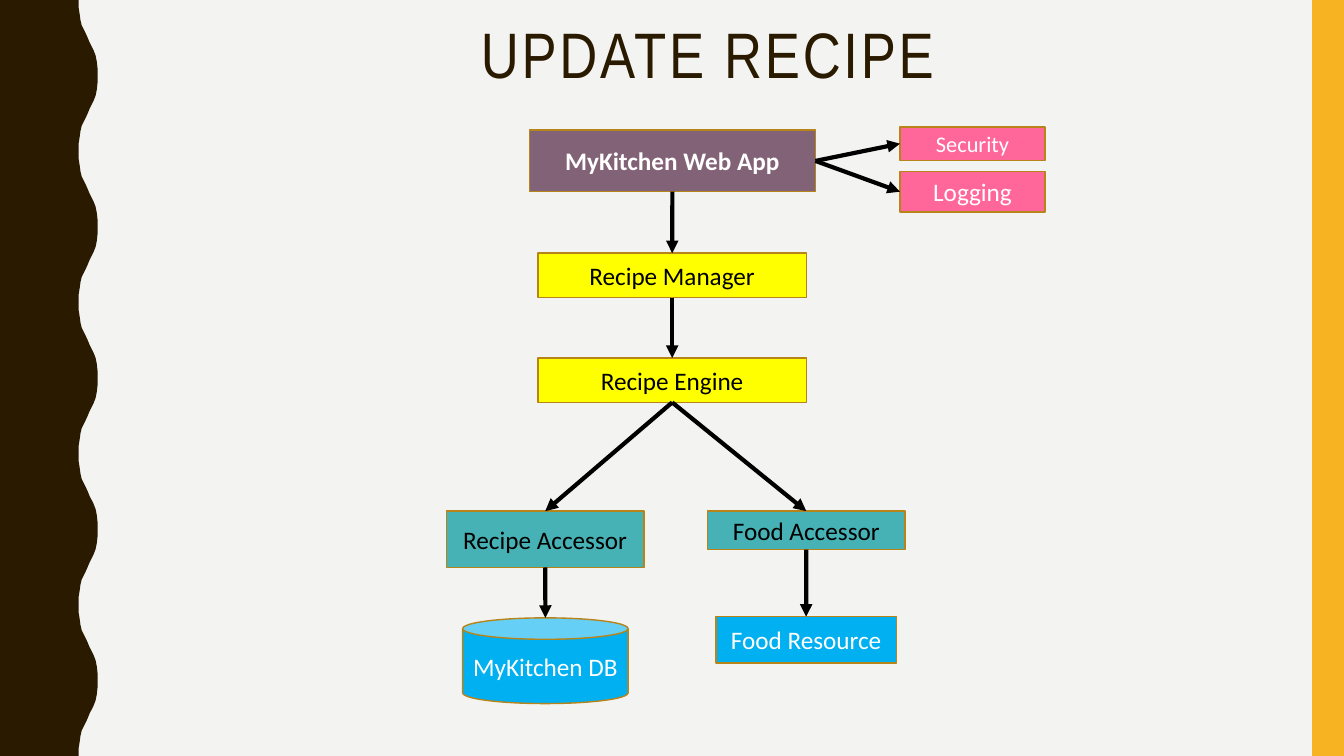
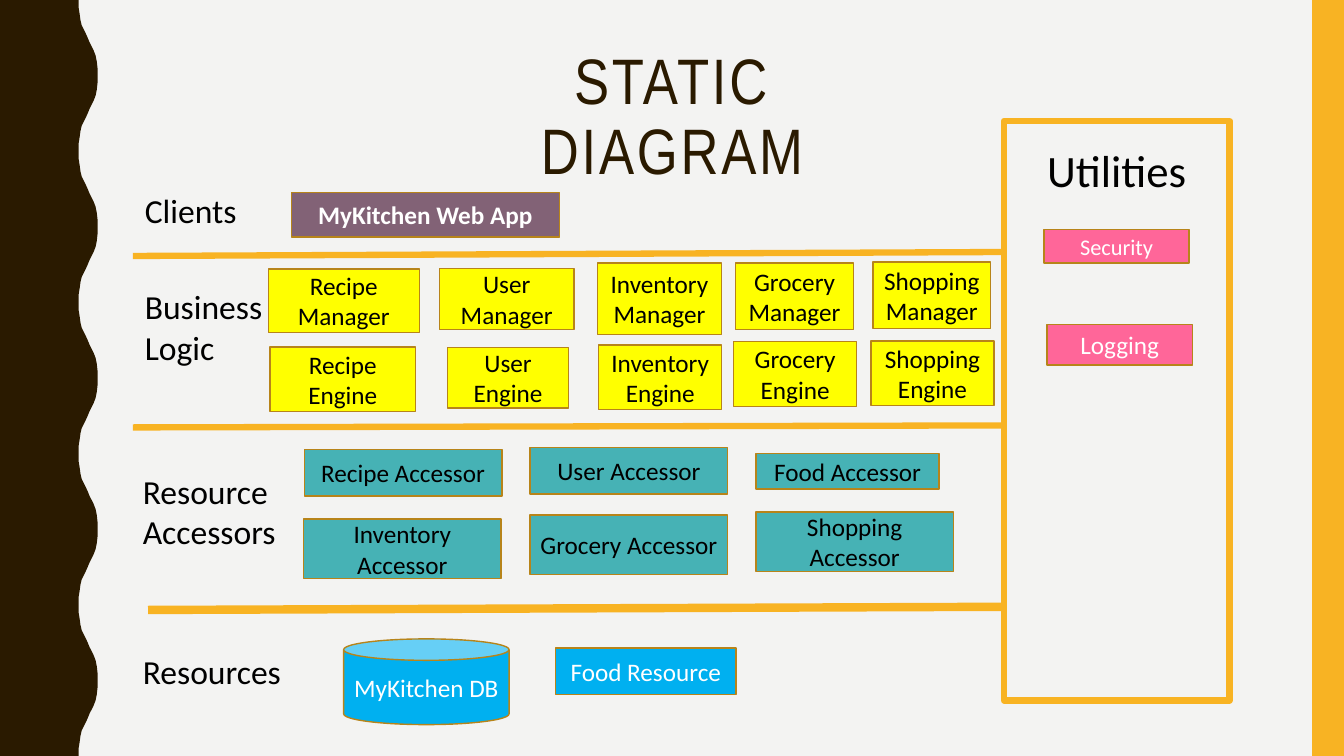
from lxml.etree import SubElement
from pptx import Presentation
from pptx.dml.color import RGBColor as RGB
from pptx.enum.shapes import MSO_CONNECTOR as Conn, MSO_SHAPE as Form
from pptx.enum.text import MSO_ANCHOR as Anchor, PP_ALIGN as Align
from pptx.oxml.ns import qn
from pptx.util import Cm, Pt

# Colours
PAPER = RGB(0xF3, 0xF3, 0xF2)
BROWN = RGB(0x2A, 0x1A, 0x00)
GOLD = RGB(0xF8, 0xB3, 0x23)
EDGE = RGB(0xB7, 0x84, 0x1A)
PLUM = RGB(0x82, 0x62, 0x76)
YELLOW = RGB(0xFF, 0xFF, 0x00)
TEAL = RGB(0x46, 0xB2, 0xB5)
BLUE = RGB(0x00, 0xB0, 0xF0)
PINK = RGB(0xFF, 0x66, 0x99)
BLACK = RGB(0x00, 0x00, 0x00)
WHITE = RGB(0xFF, 0xFF, 0xFF)

# All lengths are in centimetres
WIDTH, HEIGHT = 33.87, 19.05
BAND = 0.8
WAVE = 3.81
HALF = [(1.98, 0), (1.98, 0.18), (2.01, 0.36), (2.03, 0.51), (2.06, 0.64),
        (2.11, 0.74), (2.16, 0.84), (2.21, 0.95), (2.26, 1.07), (2.31, 1.17),
        (2.36, 1.27), (2.41, 1.4), (2.44, 1.55), (2.46, 1.73), (2.46, 1.9)]

# Layer: fill, text colour, bold
LAYERS = {
    "client": (PLUM, WHITE, True),
    "logic": (YELLOW, BLACK, False),
    "access": (TEAL, BLACK, False),
    "store": (BLUE, WHITE, False),
    "tool": (PINK, WHITE, False),
}
SMALL = {"Security": 16}
CANS = {"MyKitchen DB"}

# Slide 1: boxes by layer, each with left, top, width, height
FLOW = {
    "client": [("MyKitchen Web App", 13.34, 3.28, 7.21, 1.55)],
    "logic": [("Recipe Manager", 13.56, 6.38, 6.76, 1.12),
              ("Recipe Engine", 13.56, 9.02, 6.76, 1.12)],
    "access": [("Recipe Accessor", 11.25, 12.88, 4.98, 1.42),
               ("Food Accessor", 17.83, 12.88, 4.98, 0.97)],
    "store": [("MyKitchen DB", 11.66, 15.57, 4.17, 2.16),
              ("Food Resource", 18.04, 15.54, 4.55, 1.17)],
    "tool": [("Security", 22.68, 3.2, 3.66, 0.84),
             ("Logging", 22.68, 4.32, 3.66, 1.02)],
}
DOWN, ACROSS = (2, 0), (3, 1)
ARROWS = [
    ("MyKitchen Web App", "Security", ACROSS),
    ("MyKitchen Web App", "Logging", ACROSS),
    ("MyKitchen Web App", "Recipe Manager", DOWN),
    ("Recipe Manager", "Recipe Engine", DOWN),
    ("Recipe Engine", "Recipe Accessor", DOWN),
    ("Recipe Engine", "Food Accessor", DOWN),
    ("Recipe Accessor", "MyKitchen DB", DOWN),
    ("Food Accessor", "Food Resource", DOWN),
]

# Slide 2
STATIC = {
    "client": [("MyKitchen Web App", 7.34, 4.85, 6.76, 1.12)],
    "logic": [("Recipe Manager", 6.76, 6.78, 3.81, 1.6),
              ("User Manager", 11.07, 6.76, 3.4, 1.55),
              ("Inventory Manager", 15.06, 6.63, 3.12, 1.8),
              ("Grocery Manager", 18.54, 6.63, 2.97, 1.68),
              ("Shopping Manager", 22, 6.6, 2.97, 1.68),
              ("Recipe Engine", 6.81, 8.74, 3.66, 1.63),
              ("User Engine", 11.28, 8.76, 3.05, 1.52),
              ("Inventory Engine", 15.09, 8.69, 3.1, 1.63),
              ("Grocery Engine", 18.49, 8.61, 3.1, 1.63),
              ("Shopping Engine", 21.95, 8.59, 3.1, 1.63)],
    "access": [("Recipe Accessor", 7.67, 11.33, 4.98, 1.17),
               ("User Accessor", 13.36, 11.28, 4.98, 1.17),
               ("Food Accessor", 19.05, 11.43, 4.62, 0.89),
               ("Inventory Accessor", 7.65, 13.08, 4.98, 1.5),
               ("Grocery Accessor", 13.36, 12.98, 4.98, 1.5),
               ("Shopping Accessor", 19.05, 12.9, 4.98, 1.5)],
    "store": [("MyKitchen DB", 8.66, 16.1, 4.17, 2.16),
              ("Food Resource", 14, 16.33, 4.55, 1.17)],
    "tool": [("Security", 26.31, 5.79, 3.66, 0.84),
             ("Logging", 26.39, 8.18, 3.66, 1.02)],
}
LABELS = [
    ("Clients", 3.4, 4.67, 3.1, 1.27),
    ("Business Logic", 3.4, 7.09, 4.24, 2.31),
    ("Resource Accessors", 3.35, 11.73, 5.92, 2.31),
    ("Resources", 3.35, 16.28, 5.92, 1.27),
]
FRAME = (25.3, 3.05, 5.69, 14.6)
RULES = [(3.35, 6.45, 6.35, 4.5), (3.35, 10.77, 10.72, 4.5),
         (3.73, 15.37, 15.29, 6)]  # left, start y, end y, weight


def cms(*nums):
    return [Cm(n) for n in nums]


def write(shape, text, size, ink, align=Align.LEFT, font="Calibri", bold=False):
    frame = shape.text_frame
    frame.word_wrap = True
    para = frame.paragraphs[0]
    para.alignment = align
    run = para.add_run()
    run.text = text
    face = run.font
    face.name, face.size, face.bold = font, Pt(size), bold
    face.color.rgb = ink
    return run


def paint(shape, fill=None, edge=None, weight=1):
    shape.shadow.inherit = False
    if fill is None:
        shape.fill.background()
    else:
        shape.fill.solid()
        shape.fill.fore_color.rgb = fill
    if edge is None:
        shape.line.fill.background()
    else:
        shape.line.color.rgb = edge
        shape.line.width = Pt(weight)


def label(slide, text, place, size, align=Align.LEFT):
    write(slide.shapes.add_textbox(*cms(*place)), text, size, BLACK, align)


def link(slide, ends, color, weight):
    line = slide.shapes.add_connector(Conn.STRAIGHT, *ends)
    line.line.color.rgb = color
    line.line.width = Pt(weight)
    SubElement(line._element.spPr, qn("a:effectLst"))
    return line


def start(prs, title, place):
    """Add a slide with the wavy edge, the gold band and a title."""
    slide = prs.slides.add_slide(prs.slide_layouts[6])
    pts = []
    for top in (n * WAVE for n in range(5)):
        pts += [(x, top + y) for x, y in HALF]
        pts += [(x, top + WAVE - y) for x, y in reversed(HALF[:-1])]
    pen = slide.shapes.build_freeform(0, 0)
    pen.add_line_segments([cms(*pt) for pt in pts + [(0, HEIGHT)]], close=True)
    paint(pen.convert_to_shape(), BROWN)
    band = slide.shapes.add_shape(
        Form.RECTANGLE, *cms(WIDTH - BAND, 0, BAND, HEIGHT))
    paint(band, GOLD)

    head = slide.shapes.add_textbox(*cms(*place))
    run = write(head, title, 45.9, BROWN, Align.CENTER, "Arial Narrow")
    run.font._element.set("spc", "200")
    frame = head.text_frame
    frame.paragraphs[0].line_spacing = 0.9
    frame.margin_left = frame.margin_right = Cm(0.4)
    return slide


def fill_in(slide, layers):
    """Draw the boxes of each layer and return them by name."""
    made = {}
    for layer, boxes in layers.items():
        fill, ink, bold = LAYERS[layer]
        for name, *place in boxes:
            form = Form.CAN if name in CANS else Form.RECTANGLE
            box = slide.shapes.add_shape(form, *cms(*place))
            paint(box, fill, EDGE)
            box.text_frame.vertical_anchor = Anchor.MIDDLE
            write(box, name, SMALL.get(name, 18), ink, Align.CENTER, bold=bold)
            made[name] = box
    return made


def side(box, site):
    """Middle of a side: 0 top, 1 left, 2 bottom, 3 right."""
    across, down = [(0.5, 0), (0, 0.5), (0.5, 1), (1, 0.5)][site]
    return int(box.left + box.width * across), int(box.top + box.height * down)


def main():
    prs = Presentation()
    prs.slide_width, prs.slide_height = cms(WIDTH, HEIGHT)
    back = prs.slide_master.background.fill
    back.solid()
    back.fore_color.rgb = PAPER

    # Call chain
    slide = start(prs, "UPDATE RECIPE", (3.23, 0.46, 29.21, 1.78))
    boxes = fill_in(slide, FLOW)
    for tail, tip, (out, into) in ARROWS:
        one, two = boxes[tail], boxes[tip]
        line = link(slide, side(one, out) + side(two, into), BLACK, 3)
        line.begin_connect(one, out)
        if tip not in CANS:
            line.end_connect(two, into)
        SubElement(line.line._get_or_add_ln(), qn("a:tailEnd"), type="triangle")

    # Layers
    slide = start(prs, "STATIC DIAGRAM", (10.69, 1.12, 12.5, 1.9))
    for left, y1, y2, weight in RULES:
        link(slide, cms(left, y1, FRAME[0], y2), GOLD, weight)
    for text, *place in LABELS:
        label(slide, text, place, 24)
    frame = slide.shapes.add_shape(Form.RECTANGLE, *cms(*FRAME))
    paint(frame, edge=GOLD, weight=4.5)
    label(slide, "Utilities", (25.73, 3.48, 4.83, 1.63), 32, Align.CENTER)
    fill_in(slide, STATIC)

    prs.save("out.pptx")


if __name__ == "__main__":
    main()
